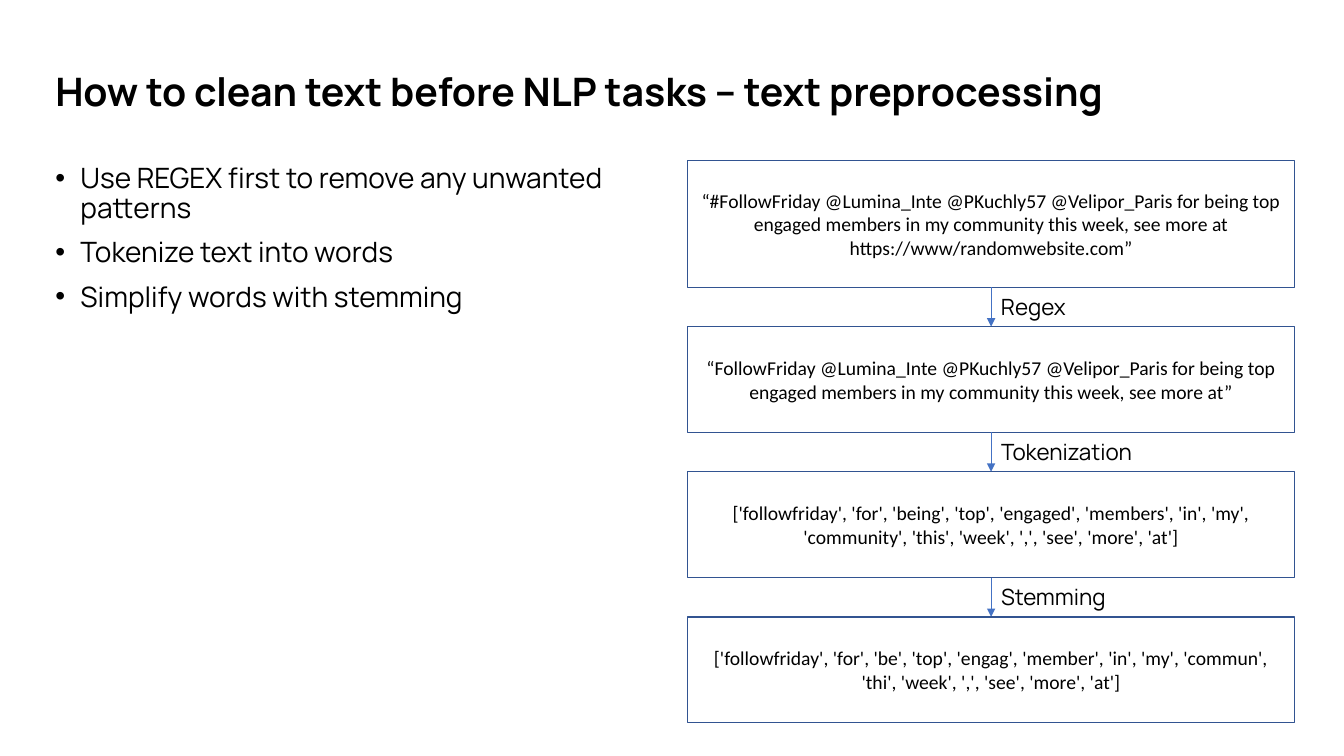
from lxml.etree import SubElement
from pptx import Presentation
from pptx.dml.color import RGBColor
from pptx.enum.shapes import MSO_CONNECTOR, MSO_SHAPE
from pptx.enum.text import MSO_ANCHOR, MSO_AUTO_SIZE, PP_ALIGN
from pptx.oxml.ns import qn
from pptx.util import Pt

PX = 9144
COLORS = {"text": "000000", "border": "325491", "arrow": "4472C4"}
TITLE_FONT = {"name": "Manrope", "size": Pt(28), "bold": True}
BULLET_FONT = {"name": "Manrope", "size": Pt(20)}
LABEL_FONT = {"name": "Manrope", "size": Pt(16)}
STAGE_FONT = {"name": "Calibri", "size": Pt(14)}
BULLET_PARA = {"line_spacing": 0.9, "space_before": Pt(10)}
TITLE = "How to clean text before NLP tasks – text preprocessing"
BULLETS = [
    "Use REGEX first to remove any unwanted patterns",
    "Tokenize text into words",
    "Simplify words with stemming",
]
STAGES = [
    (126, "“#FollowFriday @Lumina_Inte @PKuchly57 @Velipor_Paris for being top engaged members "
          "in my community this week, see more at https://www/randomwebsite.com”"),
    (105, "“FollowFriday @Lumina_Inte @PKuchly57 @Velipor_Paris for being top engaged members "
          "in my community this week, see more at”"),
    (105, "['followfriday', 'for', 'being', 'top', 'engaged', 'members', 'in', 'my', "
          "'community', 'this', 'week', ',', 'see', 'more', 'at']"),
    (105, "['followfriday', 'for', 'be', 'top', 'engag', 'member', 'in', 'my', "
          "'commun', 'thi', 'week', ',', 'see', 'more', 'at']"),
]
STEPS = [("Regex", 107), ("Tokenization", 238), ("Stemming", 238)]
STEP_GAP = 39


def emu(*lengths):
    """Turn px lengths into EMU."""
    return [length * PX for length in lengths]


def color(name):
    """Look up a named colour."""
    return RGBColor.from_string(COLORS[name])


def set_all(target, values):
    """Set every attribute in a dict of format values."""
    for name, value in values.items():
        setattr(target, name, value)


def write(para, words, font):
    """Write one formatted span into a paragraph."""
    span = para.add_run()
    span.text = words
    set_all(span.font, font)
    span.font.color.rgb = color("text")


def add_text(page, box, words, font):
    """Place a one-paragraph text box that grows with its text."""
    frame = page.shapes.add_textbox(*emu(*box)).text_frame
    set_all(frame, {"word_wrap": True, "auto_size": MSO_AUTO_SIZE.SHAPE_TO_FIT_TEXT})
    write(frame.paragraphs[0], words, font)


def add_bullets(page, box, items):
    """Place a bulleted list in the box."""
    frame = page.shapes.add_textbox(*emu(*box)).text_frame
    frame.word_wrap = True
    for index, item in enumerate(items):
        para = frame.add_paragraph() if index else frame.paragraphs[0]
        set_all(para, BULLET_PARA)
        properties = para._p.get_or_add_pPr()
        properties.set("marL", str(25 * PX))
        properties.set("indent", str(-25 * PX))
        SubElement(properties, qn("a:buFont"), typeface="Arial")
        SubElement(properties, qn("a:buChar"), char="•")
        write(para, item, BULLET_FONT)


def add_stage(page, box, words):
    """Place one outlined box of sample text."""
    stage = page.shapes.add_shape(MSO_SHAPE.RECTANGLE, *emu(*box))
    stage.shadow.inherit = False
    stage.fill.background()
    stage.line.color.rgb = color("border")
    stage.line.width = Pt(1)
    frame = stage.text_frame
    set_all(frame, {"word_wrap": True, "vertical_anchor": MSO_ANCHOR.MIDDLE})
    frame.paragraphs[0].alignment = PP_ALIGN.CENTER
    write(frame.paragraphs[0], words, STAGE_FONT)


def add_step(page, box, words):
    """Place a downward arrow on the left edge of the box, with its label."""
    left, top, width, height = box
    arrow = page.shapes.add_connector(
        MSO_CONNECTOR.STRAIGHT, *emu(left, top, left, top + height))
    arrow.line.color.rgb = color("arrow")
    arrow.line.width = Pt(0.5)
    SubElement(arrow.line._get_or_add_ln(), qn("a:tailEnd"), type="triangle")
    SubElement(arrow._element.spPr, qn("a:effectLst"))
    add_text(page, (left, top + 1, width, height - 2), words, LABEL_FONT)


def add_pipeline(page, left, top, width):
    """Stack the stages downwards, joined by labelled steps."""
    for index, (height, words) in enumerate(STAGES):
        add_stage(page, (left, top, width, height), words)
        top += height
        if index < len(STEPS):
            label, label_width = STEPS[index]
            add_step(page, (left + width // 2, top, label_width, STEP_GAP), label)
            top += STEP_GAP


def main():
    """Build and save the slide."""
    deck = Presentation()
    deck.slide_width, deck.slide_height = emu(1333, 750)
    page = deck.slides.add_slide(deck.slide_layouts[6])
    add_bullets(page, (45, 158, 606, 476), BULLETS)
    add_text(page, (45, 62, 1244, 57), TITLE, TITLE_FONT)
    add_pipeline(page, 682, 159, 602)
    deck.save("out.pptx")


if __name__ == "__main__":
    main()
